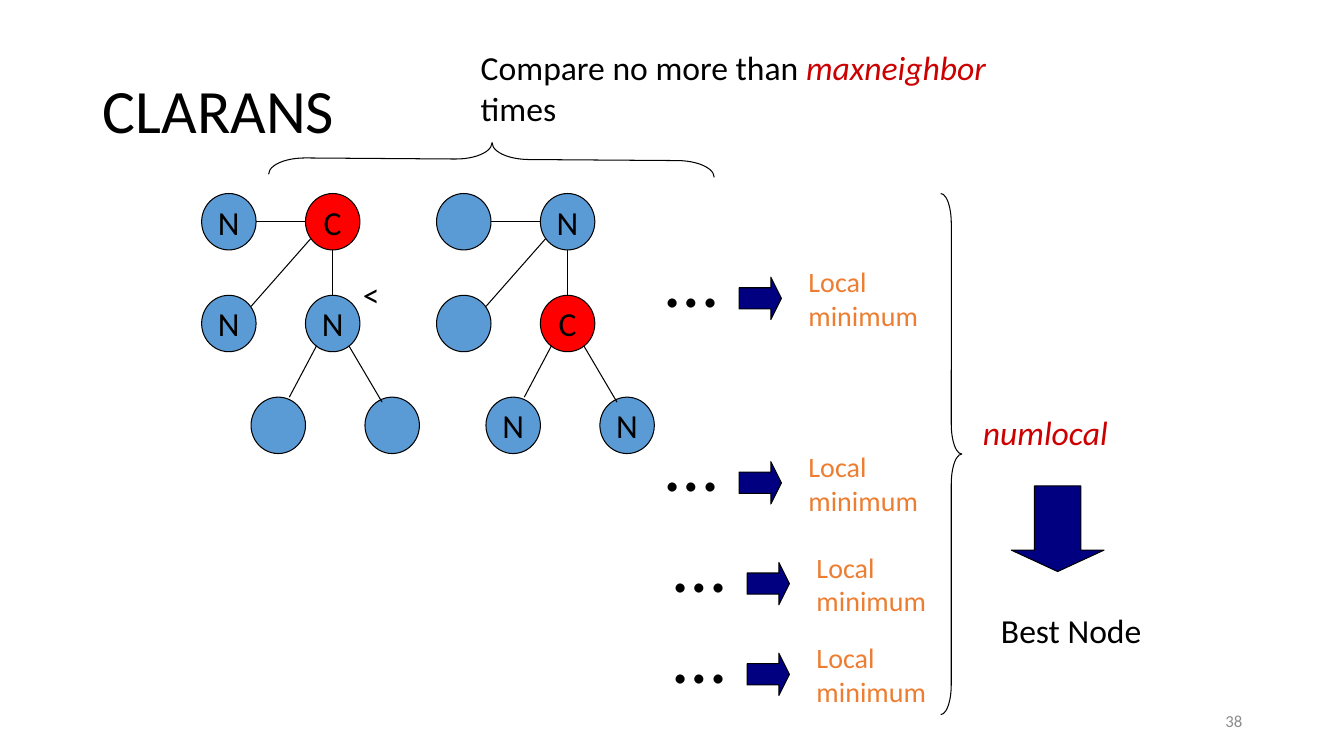
from lxml.etree import SubElement
from pptx import Presentation
from pptx.dml.color import RGBColor
from pptx.enum.shapes import MSO_CONNECTOR, MSO_SHAPE
from pptx.enum.text import MSO_ANCHOR, PP_ALIGN
from pptx.oxml.ns import qn
from pptx.util import Pt

PX = 9144
FONT = "Calibri"
BLACK, BLUE, RED = "000000", "5B9BD5", "FF0000"
NAVY, ORANGE, CRIMSON, GRAY = "000080", "ED7D31", "CC0000", "8C8C8C"

NODE_SIZE = (54, 56)
NODE_OFFSETS = [(0, 0), (103, 101), (0, 101), (103, 0), (49, 202), (162, 202)]
EDGES = [
    (54, 28, 103, 28),
    (130, 56, 130, 101),
    (114, 151, 87, 202),
    (146, 151, 179, 207),
    (108, 45, 49, 112),
]
TREES = [
    ((200, 192), ["N", "N", "N", "C", "", ""]),
    ((433, 192), ["", "C", "", "N", "N", "N"]),
]
SEARCHES = [(650, 225), (650, 408), (658, 508), (658, 598)]
LABELS = [
    ((350, 267, 58, 50), [("<", BLACK, False)]),
    ((467, 42, 533, 91), [("Compare no more than ", BLACK, False),
                          ("maxneighbor ", CRIMSON, True),
                          ("times", BLACK, False)]),
    ((965, 404, 168, 50), [("numlocal", CRIMSON, True)]),
    ((983, 600, 183, 50), [("Best Node", BLACK, False)]),
]
BRACES = [
    ((471, -63, 33, 442), 270.4, (1.105, 0.501)),
    ((933, 192, 21, 517), 0, (1.417, 0.5)),
]


def emu(lengths):
    return [length * PX for length in lengths]


def color(value):
    return RGBColor.from_string(value)


def style(paragraph, size, tint=None):
    paragraph.font.name = FONT
    paragraph.font.size = Pt(size)
    if tint:
        paragraph.font.color.rgb = color(tint)


def add_text(box, runs, size):
    frame = slide.shapes.add_textbox(*emu(box)).text_frame
    frame.word_wrap = True
    paragraph = frame.paragraphs[0]
    for words, tint, italic in runs:
        run = paragraph.add_run()
        run.text = words
        run.font.color.rgb = color(tint)
        run.font.italic = italic
    style(paragraph, size)
    return frame


def add_outlined(preset, box, fill=None, adjustments=()):
    outlined = slide.shapes.add_shape(preset, *emu(box))
    outlined.shadow.inherit = False
    if fill:
        outlined.fill.solid()
        outlined.fill.fore_color.rgb = color(fill)
    else:
        outlined.fill.background()
    outlined.line.color.rgb = color(BLACK)
    outlined.line.width = Pt(0.75)
    for index, amount in enumerate(adjustments):
        outlined.adjustments[index] = amount
    return outlined


def add_node(left, top, letter):
    node = add_outlined(MSO_SHAPE.OVAL, (left, top, *NODE_SIZE), RED if letter == "C" else BLUE)
    if letter:
        frame = node.text_frame
        frame.word_wrap = False
        frame.vertical_anchor = MSO_ANCHOR.MIDDLE
        frame.text = letter
        frame.paragraphs[0].alignment = PP_ALIGN.CENTER
        style(frame.paragraphs[0], 24, BLACK)


def add_edge(ends):
    edge = slide.shapes.add_connector(MSO_CONNECTOR.STRAIGHT, *emu(ends))
    edge.line.color.rgb = color(BLACK)
    edge.line.width = Pt(0.75)
    SubElement(edge._element.spPr, qn("a:effectLst"))


deck = Presentation()
deck.slide_width, deck.slide_height = emu((1333, 750))
slide = deck.slides.add_slide(deck.slide_layouts[5])

title = slide.shapes.title
title.left, title.top, title.width, title.height = emu((92, 40, 1150, 145))
title.text_frame.text = "CLARANS"
title.text_frame.vertical_anchor = MSO_ANCHOR.MIDDLE
heading = title.text_frame.paragraphs[0]
heading.alignment = PP_ALIGN.LEFT
heading.line_spacing = 0.9
style(heading, 44, BLACK)

for (left, top), letters in TREES:
    for (dx, dy), letter in zip(NODE_OFFSETS, letters):
        add_node(left + dx, top + dy, letter)
    for x1, y1, x2, y2 in EDGES:
        add_edge((left + x1, top + y1, left + x2, top + y2))

for left, top in SEARCHES:
    add_outlined(MSO_SHAPE.RIGHT_ARROW, (left + 83, top + 50, 42, 42), NAVY, (0.5, 0.25))
    add_text((left + 142, top + 33, 150, 77), [("Local minimum", ORANGE, False)], 20)
    add_text((left, top, 83, 100), [("…", BLACK, False)], 54)

for box, angle, adjustments in BRACES:
    add_outlined(MSO_SHAPE.RIGHT_BRACE, box, adjustments=adjustments).rotation = angle

add_outlined(MSO_SHAPE.DOWN_ARROW, (1003, 482, 92, 85), NAVY, (0.5, 0.25))

for box, runs in LABELS:
    add_text(box, runs, 24)

page = add_text((942, 695, 300, 40), [("38", GRAY, False)], 12)
page.vertical_anchor = MSO_ANCHOR.MIDDLE
page.paragraphs[0].alignment = PP_ALIGN.RIGHT

deck.save("out.pptx")
